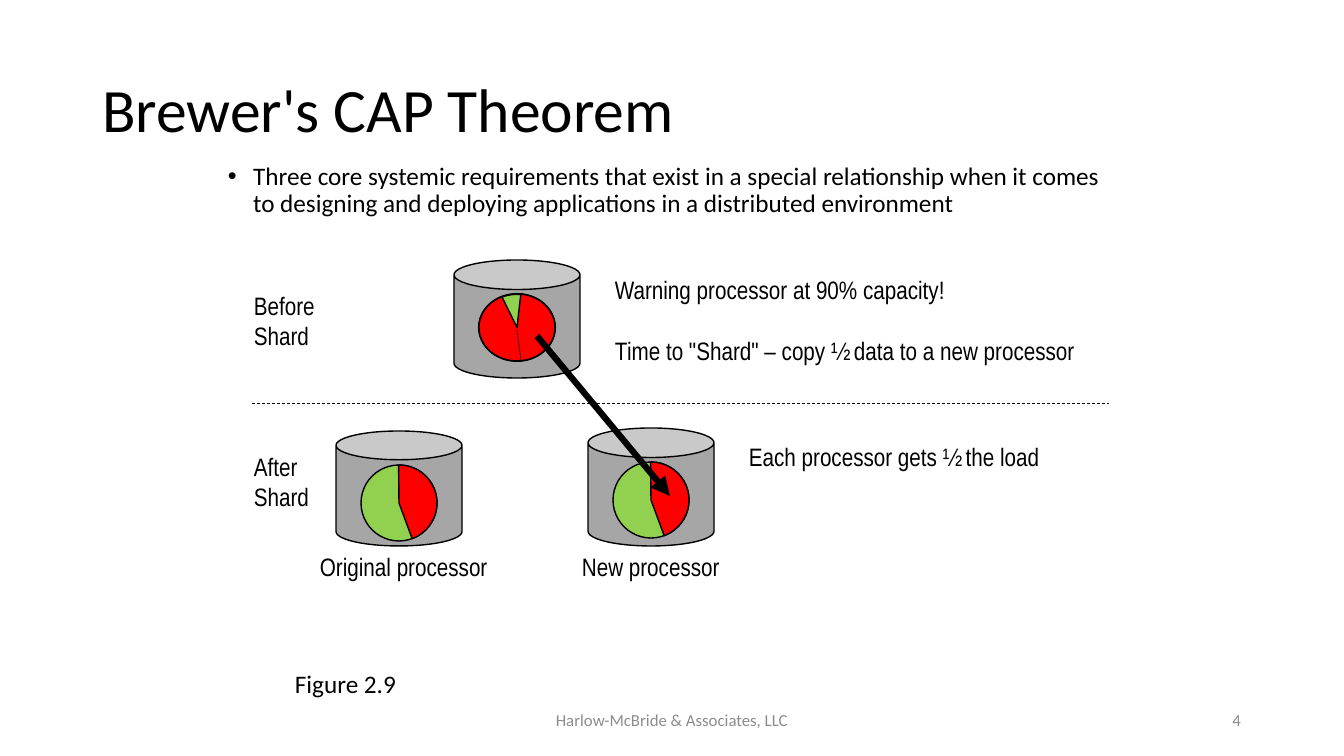
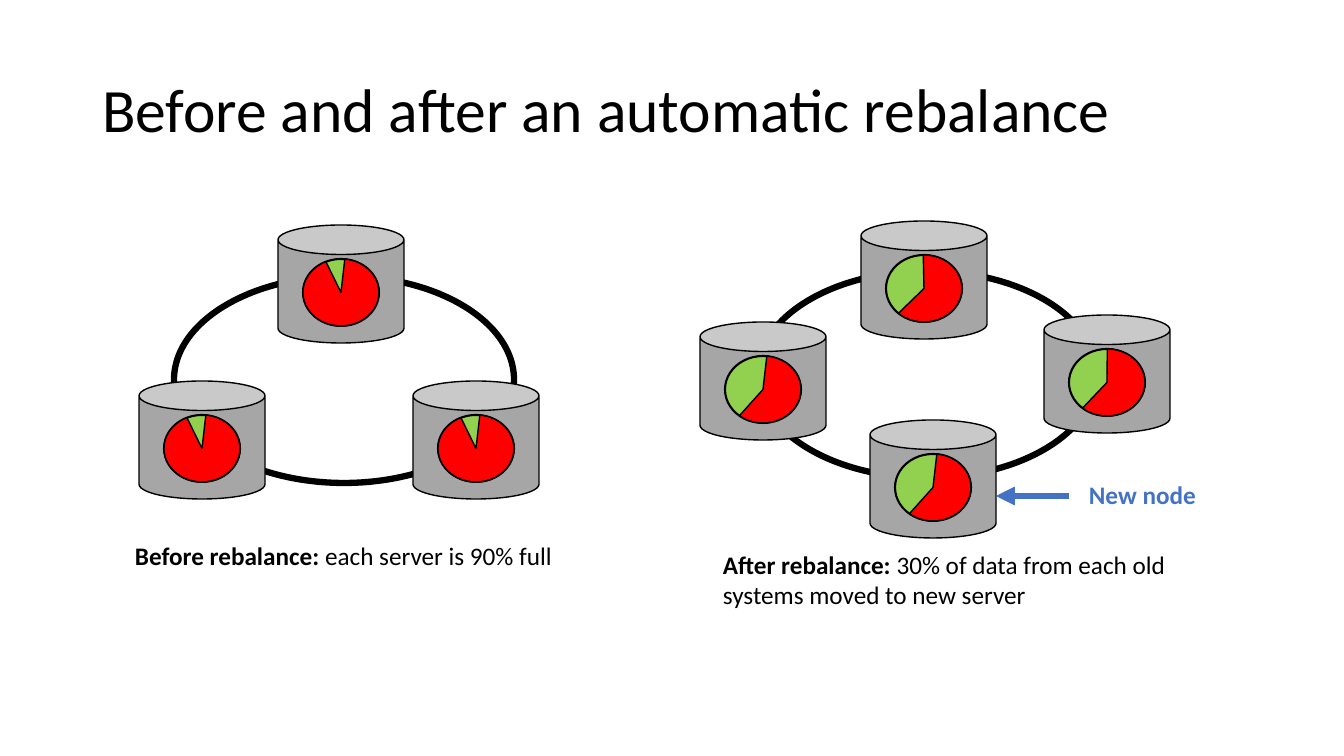
"""Build two slides on sharding and automatic rebalancing."""
from pptx import Presentation
from pptx.dml.color import RGBColor
from pptx.enum.dml import MSO_LINE
from pptx.enum.shapes import MSO_CONNECTOR, MSO_SHAPE
from pptx.enum.text import MSO_ANCHOR, MSO_AUTO_SIZE, PP_ALIGN
from pptx.oxml.ns import qn
from pptx.util import Pt
from lxml.etree import SubElement

BLACK = RGBColor(0x00, 0x00, 0x00)
FOOTER_GREY = RGBColor(0x8C, 0x8C, 0x8C)
CAN_GREY = RGBColor(0xA6, 0xA6, 0xA6)
FREE_GREEN = RGBColor(0x92, 0xD0, 0x50)
USED_RED = RGBColor(0xFF, 0x00, 0x00)
BLUE = RGBColor(0x44, 0x72, 0xC4)
SANS, NARROW = "Calibri", "Arial Narrow"

TITLE_BOX = (92, 40, 1159, 146)
CAN_W, CAN_H = 126, 118
GAUGE_W, GAUGE_H = 76, 67
GAUGE_DX, GAUGE_DY = 25, 34
FULL, HALF = (276.6, 243.9), (269.4, 69.7)

SHARD_TITLE = "Brewer's CAP Theorem"
SHARD_BULLET = ("Three core systemic requirements that exist in a special relationship "
                "when it comes to designing and deploying applications in a distributed environment")
SHARD_LABELS = [
    ((605, 269, 486, 102), ["Warning processor at 90% capacity!",
                            "Time to \"Shard\" – copy ½ data to a new processor"], NARROW, 22),
    ((244, 285, 82, 72), ["Before", "Shard"], NARROW, 0),
    ((244, 446, 77, 72), ["After", "Shard"], NARROW, 0),
    ((739, 436, 314, 40), ["Each processor gets ½ the load"], NARROW, 0),
    ((310, 546, 190, 40), ["Original processor"], NARROW, 0),
    ((572, 546, 159, 40), ["New processor"], NARROW, 0),
    ((285, 663, 123, 40), ["Figure 2.9"], SANS, 0),
]
FOOTERS = [
    ((445, 700, 454, 40), "Harlow-McBride & Associates, LLC", PP_ALIGN.CENTER),
    ((949, 700, 302, 40), "4", PP_ALIGN.RIGHT),
]

REBALANCE_TITLE = "Before and after an automatic rebalance"
CLUSTERS = [
    ((174, 276, 340, 207),
     [(278, 225, FULL), (139, 381, FULL), (413, 381, FULL)]),
    ((757, 271, 340, 207),
     [(861, 221, (268.8, 135.8)), (700, 322, (276.6, 131.9)),
      (1044, 315, (270.6, 133.6)), (870, 420, (276.6, 131.9))]),
]
CAPTIONS = [
    ((125, 535, 438, 40), "Before rebalance: ", "each server is 90% full", False),
    ((713, 544, 470, 72), "After rebalance: ",
     "30% of data from each old systems moved to new server", True),
]


def px(n):
    return round(n * 914400 / 100.8)


def add_run(p, text, size=18, font=SANS, color=BLACK, bold=False):
    r = p.add_run()
    r.text = text
    r.font.size, r.font.name, r.font.bold = Pt(size), font, bold
    r.font.color.rgb = color


def add_box(s, box, wrap=False, grow=True):
    tf = s.shapes.add_textbox(*map(px, box)).text_frame
    tf.word_wrap = wrap
    tf.auto_size = MSO_AUTO_SIZE.SHAPE_TO_FIT_TEXT if grow else MSO_AUTO_SIZE.NONE
    return tf


def add_slide(prs, title):
    s = prs.slides.add_slide(prs.slide_layouts[5])
    sp = s.shapes.title
    sp.left, sp.top, sp.width, sp.height = map(px, TITLE_BOX)
    tf = sp.text_frame
    tf.word_wrap = True
    tf.vertical_anchor = MSO_ANCHOR.MIDDLE
    p = tf.paragraphs[0]
    p.alignment, p.line_spacing = PP_ALIGN.LEFT, 0.9
    add_run(p, title, 44)
    return s


def add_outline(s, kind, box, fill=None, width=1):
    sp = s.shapes.add_shape(kind, *map(px, box))
    sp.shadow.inherit = False
    if fill is None:
        sp.fill.background()
    else:
        sp.fill.solid()
        sp.fill.fore_color.rgb = fill
    sp.line.color.rgb = BLACK
    sp.line.width = Pt(width)
    return sp


def add_node(s, x, y, used, can_h=CAN_H, gauge_h=GAUGE_H, rim=1.5):
    add_outline(s, MSO_SHAPE.CAN, (x, y, CAN_W, can_h), CAN_GREY)
    gauge = (x + GAUGE_DX, y + GAUGE_DY, GAUGE_W, gauge_h)
    add_outline(s, MSO_SHAPE.OVAL, gauge, FREE_GREEN, rim)
    pie = add_outline(s, MSO_SHAPE.PIE, gauge, USED_RED)
    for i, degrees in enumerate(used):
        pie.adjustments[i] = degrees * 0.6


def add_line(s, ends, width, color=BLACK, dash=None, arrow=False):
    c = s.shapes.add_connector(MSO_CONNECTOR.STRAIGHT, *map(px, ends))
    c.line.color.rgb = color
    c.line.width = Pt(width)
    if dash:
        c.line.dash_style = dash
    if arrow:
        SubElement(c.get_or_add_ln(), qn("a:tailEnd"), type="triangle")
    SubElement(c.element.spPr, qn("a:effectLst"))


def add_bullet(s, box, text):
    p = add_box(s, box, wrap=True, grow=False).paragraphs[0]
    p.line_spacing, p.space_before = 0.9, Pt(10)
    add_run(p, text)
    pPr = p._p.get_or_add_pPr()
    pPr.set("marL", "228600")
    pPr.set("indent", "-228600")
    SubElement(pPr, qn("a:buFont"), typeface="Arial")
    SubElement(pPr, qn("a:buChar"), char="•")


def build_shard(prs):
    s = add_slide(prs, SHARD_TITLE)
    add_bullet(s, (218, 159, 907, 50), SHARD_BULLET)
    for box, text, align in FOOTERS:
        tf = add_box(s, box, wrap=True, grow=False)
        tf.vertical_anchor = MSO_ANCHOR.MIDDLE
        tf.paragraphs[0].alignment = align
        add_run(tf.paragraphs[0], text, 12, color=FOOTER_GREY)
    add_node(s, 454, 260, FULL)
    add_node(s, 336, 431, HALF, can_h=115, gauge_h=GAUGE_W, rim=1)
    add_node(s, 588, 428, HALF, gauge_h=GAUGE_W, rim=1)
    add_line(s, (517, 330, 521, 361), 0.5, dash=MSO_LINE.SQUARE_DOT)
    add_line(s, (537, 336, 670, 496), 4.5, arrow=True)
    add_line(s, (252, 403, 1109, 403), 0.5, dash=MSO_LINE.DASH)
    for box, lines, font, gap in SHARD_LABELS:
        tf = add_box(s, box)
        for i, text in enumerate(lines):
            p = tf.add_paragraph() if i else tf.paragraphs[0]
            if i and gap:
                p.space_before = Pt(gap)
            add_run(p, text, font=font)


def build_rebalance(prs):
    s = add_slide(prs, REBALANCE_TITLE)
    for ring, nodes in CLUSTERS:
        add_outline(s, MSO_SHAPE.OVAL, ring, width=4.5)
        for x, y, used in nodes:
            add_node(s, x, y, used)
    for box, lead, rest, wrap in CAPTIONS:
        p = add_box(s, box, wrap).paragraphs[0]
        add_run(p, lead, bold=True)
        add_run(p, rest)
    add_line(s, (1069, 496, 996, 496), 4.5, BLUE, arrow=True)
    p = add_box(s, (1079, 474, 128, 40)).paragraphs[0]
    add_run(p, "New node", color=BLUE, bold=True)


prs = Presentation()
prs.slide_width, prs.slide_height = px(1344), px(756)
build_shard(prs)
build_rebalance(prs)
prs.save("out.pptx")
